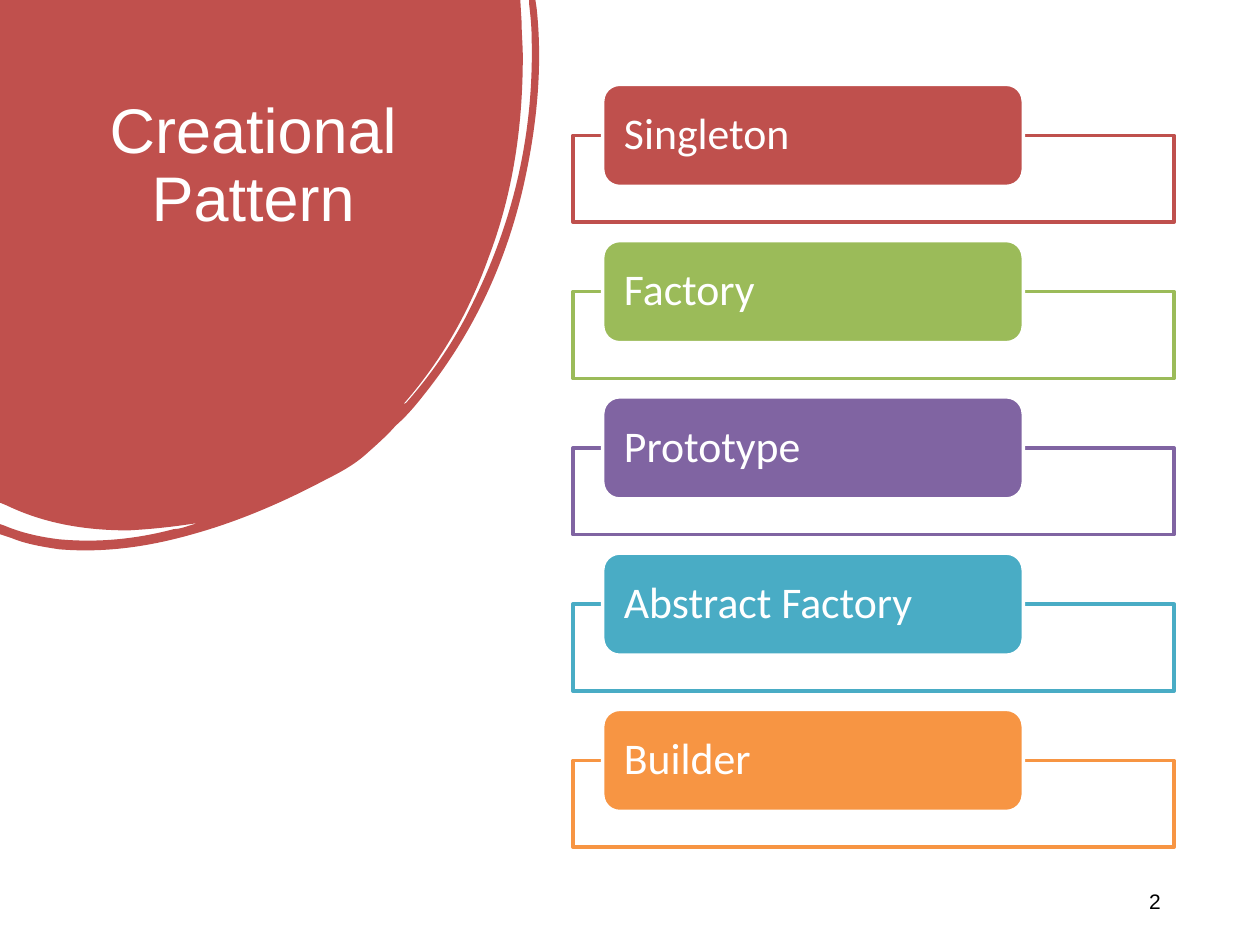
from lxml.etree import SubElement
from pptx import Presentation
from pptx.dml.color import RGBColor
from pptx.enum.shapes import MSO_SHAPE
from pptx.enum.text import MSO_ANCHOR, MSO_AUTO_SIZE, PP_ALIGN
from pptx.oxml.ns import qn
from pptx.util import Cm, Pt

WHITE = RGBColor(0xFF, 0xFF, 0xFF)
BLACK = RGBColor(0, 0, 0)
BLOB_RED = RGBColor(0xC0, 0x50, 0x4D)
RED = RGBColor(0xBF, 0x50, 0x4D)
GREEN = RGBColor(0x9B, 0xBB, 0x59)
PURPLE = RGBColor(0x80, 0x64, 0xA2)
TEAL = RGBColor(0x49, 0xAC, 0xC5)
ORANGE = RGBColor(0xF7, 0x95, 0x43)

TITLE = "Creational Pattern"
NUMBER = "2"
PATTERNS = [
    ("Singleton", RED),
    ("Factory", GREEN),
    ("Prototype", PURPLE),
    ("Abstract Factory", TEAL),
    ("Builder", ORANGE),
]

FRAME = (11.55, 2.73, 12.12, 1.75)
TAB = (12.15, 1.70, 8.48, 2.06)
ROW_PITCH = 3.15
TITLE_BOX = (1.75, 1.87, 6.71, 5.64)
NUMBER_BOX = (17.93, 17.65, 5.72, 1.02)

INCH = 2.54
BLOB = [
    (0, 0), (4.13, 0), (4.14, 0.17),
    (4.14, 0.26, 4.15, 0.36, 4.15, 0.45),
    (4.15, 1.01, 4.07, 1.54, 3.88, 2.04),
    (3.72, 2.49, 3.49, 2.88, 3.2, 3.21),
    (3.22, 3.21, 3.23, 3.19, 3.24, 3.18),
    (3.44, 2.95, 3.62, 2.69, 3.76, 2.39),
    (4.07, 1.76, 4.24, 1.07, 4.22, 0.3),
    (4.22, 0.21, 4.21, 0.12, 4.2, 0.03),
    (4.2, 0), (4.25, 0), (4.26, 0.07),
    (4.31, 0.54, 4.26, 1.02, 4.15, 1.5),
    (4, 2.14, 3.73, 2.68, 3.36, 3.14),
    (3.29, 3.23, 3.22, 3.31, 3.14, 3.38),
    (3.07, 3.46, 2.99, 3.53, 2.9, 3.61),
    (2.81, 3.69, 2.7, 3.75, 2.58, 3.81),
    (2.24, 3.99, 1.89, 4.14, 1.53, 4.24),
    (1.18, 4.34, 0.83, 4.39, 0.47, 4.36),
    (0.34, 4.34, 0.21, 4.32, 0.09, 4.27),
    (0, 4.24), (0, 4.16), (0.03, 4.17),
    (0.17, 4.23, 0.31, 4.26, 0.46, 4.28),
    (0.77, 4.31, 1.08, 4.28, 1.38, 4.2),
    (1.41, 4.2, 1.45, 4.19, 1.48, 4.18),
    (1.51, 4.17, 1.54, 4.16, 1.58, 4.15),
    (1.39, 4.18, 1.21, 4.2, 1.02, 4.21),
    (0.69, 4.21, 0.36, 4.16, 0.05, 4.01),
    (0, 3.99),
]


def set_all(obj, values):
    """Set each attribute of obj from a dict."""
    for name, value in values.items():
        setattr(obj, name, value)


def style_text(tf, font, color, size, anchor, align, side, edge, spacing=None):
    """Format a text frame that holds one paragraph."""
    set_all(tf, {
        "word_wrap": True, "auto_size": MSO_AUTO_SIZE.NONE, "vertical_anchor": anchor,
        "margin_left": Cm(side), "margin_right": Cm(side),
        "margin_top": Cm(edge), "margin_bottom": Cm(edge),
    })
    p = tf.paragraphs[0]
    set_all(p, {"alignment": align, "line_spacing": spacing})
    r = p.runs[0]
    set_all(r.font, {"name": font, "size": Pt(size)})
    r.font.color.rgb = color


def add_box(s, kind, box, fill, line):
    """Add a filled preset shape with a 2 pt outline."""
    sp = s.shapes.add_shape(kind, *map(Cm, box))
    sp.shadow.inherit = False
    sp.fill.solid()
    sp.fill.fore_color.rgb = fill
    sp.line.color.rgb = line
    sp.line.width = Pt(2)
    return sp


def add_blob(s):
    """Add the red corner swoosh behind the title, with true cubic curves."""
    outline = [[Cm(v * INCH) for v in seg] for seg in BLOB]
    builder = s.shapes.build_freeform(*outline[0])
    builder.add_line_segments([seg[-2:] for seg in outline[1:]], close=True)
    sp = builder.convert_to_shape()
    lines = list(sp._element.iter(qn("a:lnTo")))
    for line, seg in zip(lines, outline[1:]):
        if len(seg) == 6:
            curve = line.makeelement(qn("a:cubicBezTo"))
            for x, y in zip(seg[::2], seg[1::2]):
                SubElement(curve, qn("a:pt"), x=str(int(x)), y=str(int(y)))
            line.getparent().replace(line, curve)
    sp.shadow.inherit = False
    sp.fill.solid()
    sp.fill.fore_color.rgb = BLOB_RED
    sp.line.fill.background()
    s.shapes.title._element.addprevious(sp._element)


def add_title(s):
    """Place and format the title."""
    sp = s.shapes.title
    set_all(sp, dict(zip(("left", "top", "width", "height"), map(Cm, TITLE_BOX))))
    sp.text_frame.text = TITLE
    style_text(sp.text_frame, "Arial", WHITE, 36, MSO_ANCHOR.TOP, PP_ALIGN.CENTER, 0.25, 0.13, 0.9)


def add_number(s):
    """Add the slide number."""
    tf = s.shapes.add_textbox(*map(Cm, NUMBER_BOX)).text_frame
    tf.text = NUMBER
    style_text(tf, "Arial", BLACK, 12, MSO_ANCHOR.MIDDLE, PP_ALIGN.RIGHT, 0.25, 0.13)


def add_pattern(s, row, name, color):
    """Add one outlined frame with its coloured tab."""
    frame_box, tab_box = ((x, y + row * ROW_PITCH, w, h) for x, y, w, h in (FRAME, TAB))
    frame = add_box(s, MSO_SHAPE.RECTANGLE, frame_box, WHITE, color)
    rgb = frame._element.spPr.find(qn("a:solidFill"))[0]
    SubElement(rgb, qn("a:alpha"), val="90000")
    tab = add_box(s, MSO_SHAPE.ROUNDED_RECTANGLE, tab_box, color, WHITE)
    tab.text_frame.text = name
    style_text(tab.text_frame, "Calibri", WHITE, 25, MSO_ANCHOR.MIDDLE, PP_ALIGN.LEFT, 0.33, 0, 0.9)


def main():
    """Build the slide and save it."""
    prs = Presentation()
    set_all(prs, {"slide_width": Cm(25.4), "slide_height": Cm(19.05)})
    s = prs.slides.add_slide(prs.slide_layouts[5])
    add_blob(s)
    add_title(s)
    add_number(s)
    for row, (name, color) in enumerate(PATTERNS):
        add_pattern(s, row, name, color)
    prs.save("out.pptx")


if __name__ == "__main__":
    main()
